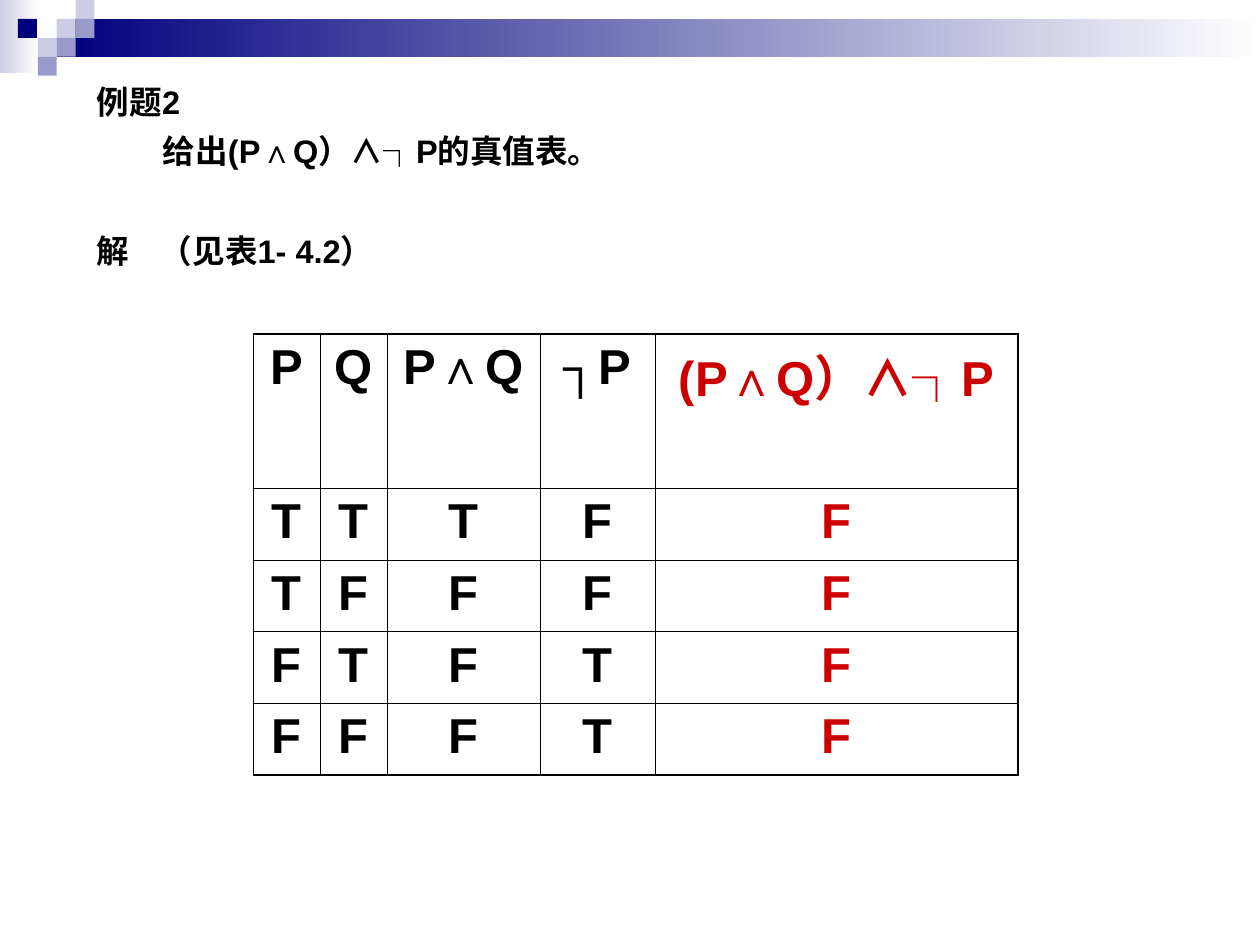
from lxml import etree
from pptx import Presentation
from pptx.dml.color import RGBColor
from pptx.enum.shapes import MSO_SHAPE
from pptx.enum.text import MSO_AUTO_SIZE, PP_ALIGN
from pptx.oxml.ns import qn
from pptx.util import Pt

RECT = MSO_SHAPE.RECTANGLE
CENTER = PP_ALIGN.CENTER
NO_AUTOFIT = MSO_AUTO_SIZE.NONE
BLACK = RGBColor(0x00, 0x00, 0x00)
WHITE = RGBColor(0xFF, 0xFF, 0xFF)
RED = RGBColor(0xCC, 0x00, 0x00)
NAVY = RGBColor(0x00, 0x00, 0x7D)
LILAC = RGBColor(0xCC, 0xCC, 0xE6)
VIOLET = RGBColor(0x99, 0x99, 0xCC)


def add_text(p, text, size=28, color=BLACK, align=None):
    p.alignment = align
    r = p.add_run()
    r.text = text
    r.font.name = "Arial"
    r.font.size = Pt(size)
    r.font.bold = True
    r.font.color.rgb = color


def add_rect(s, left, top, width, height, start, end=None):
    sp = s.shapes.add_shape(RECT, Pt(left), Pt(top), Pt(width), Pt(height))
    sp.shadow.inherit = False
    sp.line.fill.background()
    if end is None:
        sp.fill.solid()
        sp.fill.fore_color.rgb = start
    else:
        sp.fill.gradient()
        sp.fill.gradient_angle = 0
        for stop, color in zip(sp.fill.gradient_stops, (start, end)):
            stop.color.rgb = color


prs = Presentation()
prs.slide_width, prs.slide_height = Pt(720), Pt(540)
s = prs.slides.add_slide(prs.slide_layouts[1])
title = s.shapes.title
title.element.getparent().remove(title.element)

add_rect(s, 0, 0, 22, 42, LILAC, WHITE)
add_rect(s, 32.4, 10.8, 687.6, 21.6, NAVY, WHITE)
STEP = 10.8
for col, row, color in [(3, 1, LILAC), (4, 0, LILAC), (4, 1, VIOLET), (2, 2, LILAC),
                        (0.95, 1, NAVY), (3, 2, VIOLET), (2, 3, VIOLET)]:
    add_rect(s, col * STEP, row * STEP, STEP, STEP, color)

body = s.placeholders[1]
body.left, body.top, body.width, body.height = Pt(48.2), Pt(43.2), Pt(648), Pt(142)
tf = body.text_frame
tf.word_wrap = True
tf.auto_size = NO_AUTOFIT
lines = [("例题2", 0, 0), ("给出(P∧Q）∧┐P的真值表。", 37.7, 6), ("解\t（见表1- 4.2）", 0, 34.4)]
for i, (text, indent, before) in enumerate(lines):
    p = tf.add_paragraph() if i else tf.paragraphs[0]
    pPr = p._p.get_or_add_pPr()
    pPr.set("marL", str(Pt(indent)))
    pPr.set("indent", "0")
    etree.SubElement(pPr, qn("a:buNone"))
    if "\t" in text:
        tabs = etree.SubElement(pPr, qn("a:tabLst"))
        etree.SubElement(tabs, qn("a:tab"), pos=str(Pt(73.5)), algn="l")
    p.space_before = Pt(before)
    add_text(p, text, size=18.6)

rows = [
    ["P", "Q", "P∧Q", "┐P", "(P∧Q）∧┐P"],
    ["T", "T", "T", "F", "F"],
    ["T", "F", "F", "F", "F"],
    ["F", "T", "F", "T", "F"],
    ["F", "F", "F", "T", "F"],
]
col_widths = [38.2, 38.2, 87.4, 65.8, 207.4]
row_heights = [74, 41, 41, 41, 41]
last = len(rows) - 1
frame = s.shapes.add_table(5, 5, Pt(144.8), Pt(190.8), Pt(sum(col_widths)), Pt(sum(row_heights)))
table = frame.table
table.first_row = False
table.horz_banding = False
for column, width in zip(table.columns, col_widths):
    column.width = Pt(width)
for i, row in enumerate(rows):
    table.rows[i].height = Pt(row_heights[i])
    for j, text in enumerate(row):
        cell = table.cell(i, j)
        tcPr = cell._tc.get_or_add_tcPr()
        for side, outer in [("L", j == 0), ("R", j == last), ("T", i == 0), ("B", i == last)]:
            ln = etree.SubElement(tcPr, qn("a:ln" + side), w=str(Pt(1.08 if outer else 0.45)))
            fill = etree.SubElement(ln, qn("a:solidFill"))
            etree.SubElement(fill, qn("a:srgbClr"), val=str(BLACK))
        cell.fill.background()
        add_text(cell.text_frame.paragraphs[0], text, color=RED if j == last else BLACK, align=CENTER)

prs.save("out.pptx")
